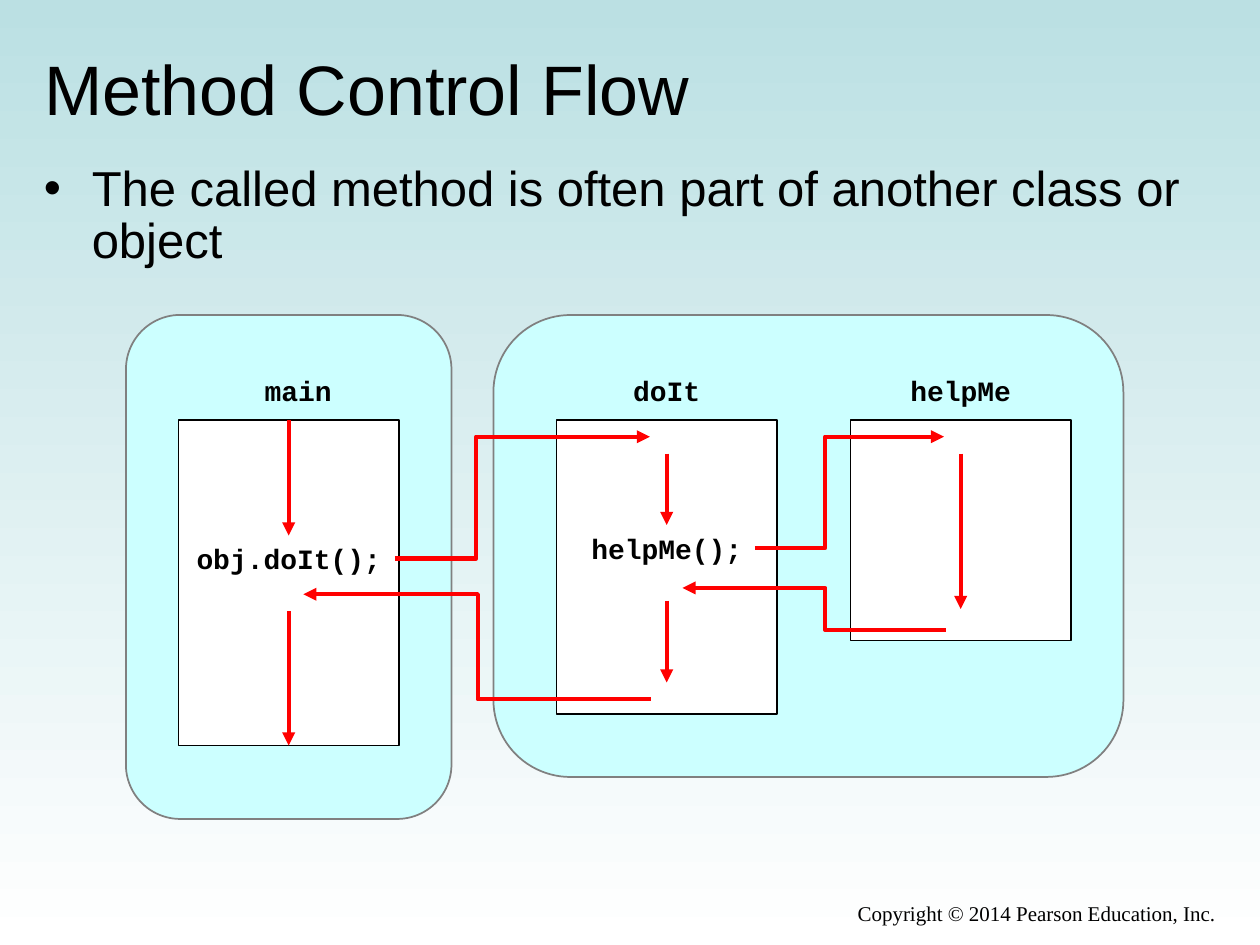
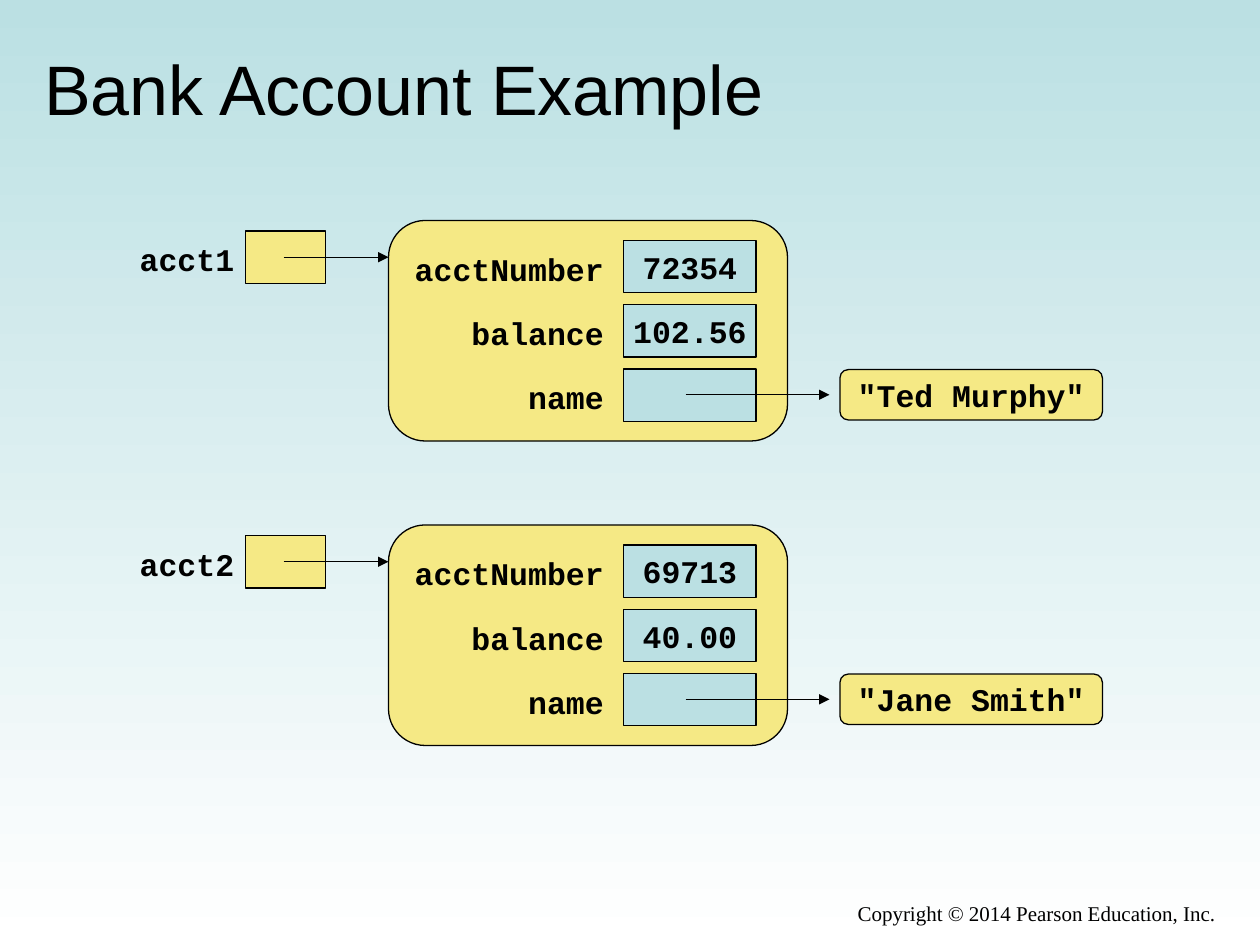
import pptx
import pptx.dml.color
import pptx.enum.shapes
import pptx.enum.text
import pptx.oxml.ns
import pptx.util
from lxml import etree

SHAPE = pptx.enum.shapes.MSO_SHAPE
CONNECTOR = pptx.enum.shapes.MSO_CONNECTOR
ALIGN = pptx.enum.text.PP_ALIGN
ANCHOR = pptx.enum.text.MSO_ANCHOR
qn = pptx.oxml.ns.qn

COLUMNS, ROWS = 120, 90  # twelve grid cells to the inch
BLACK, WHITE, RED, GREY = "000000", "FFFFFF", "FF0000", "808080"
SKY, CYAN, YELLOW = "BBE0E3", "CCFFFF", "F5E985"
SANS, SERIF, MONO = "Arial", "Times New Roman", "Courier New"
COPYRIGHT = "Copyright © 2014 Pearson Education, Inc."


def cells(*counts):
    return [pptx.util.Inches(count / 12) for count in counts]


def rgb(hex_color):
    return pptx.dml.color.RGBColor.from_string(hex_color)


def style_font(para, name, size, bold=False):
    para.font.name = name
    para.font.size = pptx.util.Pt(size)
    para.font.bold = bold
    para.font.color.rgb = rgb(BLACK)


def write(box, text, size, align, name=MONO, bold=True):
    """Put one paragraph in the box, vertically centred, with no side insets."""
    frame = box.text_frame
    frame.word_wrap = True
    frame.vertical_anchor = ANCHOR.MIDDLE
    frame.margin_left = frame.margin_right = 0
    para = frame.paragraphs[0]
    para.text = text
    para.alignment = align
    style_font(para, name, size, bold)


def add_label(page, text, area, size, align, **font):
    write(page.shapes.add_textbox(*cells(*area)), text, size, align, **font)


def add_box(page, kind, area, fill, line=BLACK, weight=1.0, text=""):
    box = page.shapes.add_shape(kind, *cells(*area))
    box.shadow.inherit = False
    box.fill.solid()
    box.fill.fore_color.rgb = rgb(fill)
    box.line.color.rgb = rgb(line)
    box.line.width = pptx.util.Pt(weight)
    if text:
        write(box, text, 18, ALIGN.CENTER)
    return box


def add_arrow(page, start, end, color=RED, weight=2.5, bend=None):
    """Draw an arrow; with a bend column it turns twice there."""
    kind = CONNECTOR.STRAIGHT if bend is None else CONNECTOR.ELBOW
    arrow = page.shapes.add_connector(kind, *cells(*start, *end))
    arrow.line.color.rgb = rgb(color)
    arrow.line.width = pptx.util.Pt(weight)
    properties = arrow.element.spPr
    etree.SubElement(properties.find(qn("a:ln")), qn("a:tailEnd"), type="triangle")
    etree.SubElement(properties, qn("a:effectLst"))
    if bend is not None:
        share = (bend - start[0]) / (end[0] - start[0])
        geometry = properties.find(qn("a:prstGeom"))
        guides = geometry.find(qn("a:avLst"))
        if guides is None:
            guides = etree.SubElement(geometry, qn("a:avLst"))
        etree.SubElement(guides, qn("a:gd"), name="adj1", fmla=f"val {round(share * 100000)}")
    return arrow


def add_bullet(page, text, area):
    box = page.shapes.add_textbox(*cells(*area))
    box.text_frame.word_wrap = True
    para = box.text_frame.paragraphs[0]
    para.text = text
    para.line_spacing = 0.9
    indent = pptx.util.Inches(0.38)
    properties = para._p.get_or_add_pPr()
    properties.set("marL", str(indent))
    properties.set("indent", str(-indent))
    etree.SubElement(properties, qn("a:buFont"), typeface=SANS)
    etree.SubElement(properties, qn("a:buChar"), char="•")
    style_font(para, SANS, 28)


def set_background(deck):
    fill = deck.slide_master.background.fill
    fill.gradient()
    fill.gradient_angle = 270
    for stop, color, position in zip(fill.gradient_stops, (SKY, WHITE), (0, 1)):
        stop.color.rgb = rgb(color)
        stop.position = position


def add_page(deck, heading):
    page = deck.slides.add_slide(deck.slide_layouts[5])
    title = page.shapes.title
    title.left, title.top, title.width, title.height = cells(3, 3.6, 114, 9.4)
    title.text_frame.auto_size = pptx.enum.text.MSO_AUTO_SIZE.NONE
    write(title, heading, 40, ALIGN.LEFT, name=SANS, bold=False)
    title.text_frame.margin_left = pptx.util.Inches(0.1)
    add_label(page, COPYRIGHT, (44, 85, 71.8, 4), 12, ALIGN.RIGHT, name=SERIF, bold=False)
    return page


def add_class(page, area):
    add_box(page, SHAPE.FLOWCHART_ALTERNATE_PROCESS, area, CYAN, GREY)


def add_method(page, name, left, height, name_shift=0.0):
    width, top = 21, 40
    add_label(page, name, (left + name_shift, top - 5, width, 4.4), 16, ALIGN.CENTER)
    return add_box(page, SHAPE.RECTANGLE, (left, top, width, height), WHITE)


def build_control_flow(deck):
    page = add_page(deck, "Method Control Flow")
    add_bullet(page, "The called method is often part of another class or object", (3, 15, 112, 12))
    add_class(page, (47, 30, 60, 44))
    add_class(page, (12, 30, 31, 48))
    main_method = add_method(page, "main", 17, 31, 0.9)
    add_method(page, "doIt", 53, 28)
    add_method(page, "helpMe", 81, 21)
    add_label(page, "obj.doIt();", (17, 51, 21, 4.4), 16, ALIGN.CENTER)
    add_label(page, "helpMe();", (53, 50, 21, 4.4), 16, ALIGN.CENTER)

    main_x, do_it_x, help_me_x = 27.5, 63.5, 91.5
    add_arrow(page, (main_x, 40), (main_x, 51)).begin_connect(main_method, 0)
    add_arrow(page, (main_x, 58.2), (main_x, 71)).end_connect(main_method, 2)
    for column, top, bottom in ((do_it_x, 43.2, 50), (do_it_x, 57.2, 65), (help_me_x, 43.2, 58)):
        add_arrow(page, (column, top), (column, bottom))

    calls_and_returns = (
        ((37.6, 53.2), (61.9, 41.6), 45.35),
        ((62, 66.6), (28.9, 56.6), 45.5),
        ((71.9, 52.2), (89.9, 41.6), 78.6),
        ((90.1, 60), (65, 56), 78.6),
    )
    for start, end, bend in calls_and_returns:
        add_arrow(page, start, end, bend=bend)


def add_account(page, top, variable, number, balance, owner):
    """Draw a variable, the account it refers to and the owner's name string."""
    thin = 0.75
    add_label(page, variable, (10, top + 1.2, 12.3, 5), 18, ALIGN.RIGHT)
    add_box(page, SHAPE.RECTANGLE, (23.4, top + 1, 7.6, 5), YELLOW, weight=thin)
    add_box(page, SHAPE.ROUNDED_RECTANGLE, (37, top, 38, 21), YELLOW, weight=thin)
    fields = (("acctNumber", number), ("balance", balance), ("name", ""))
    for index, (field, value) in enumerate(fields):
        row = top + 1.9 + 6.12 * index
        add_label(page, field, (38, row + 0.2, 19.5, 5), 18, ALIGN.RIGHT)
        add_box(page, SHAPE.RECTANGLE, (59.4, row, 12.6, 5), SKY, weight=thin, text=value)
    add_box(page, SHAPE.ROUNDED_RECTANGLE, (80, top + 14.2, 25, 4.8), YELLOW,
            weight=thin, text=f'"{owner}"')
    for first, last, row in ((27, 37, top + 3.5), (65.3, 79, top + 16.6)):
        add_arrow(page, (first, row), (last, row), BLACK, thin)


def build_bank_accounts(deck):
    page = add_page(deck, "Bank Account Example")
    add_account(page, 21, "acct1", "72354", "102.56", "Ted Murphy")
    add_account(page, 50, "acct2", "69713", "40.00", "Jane Smith")


def main():
    deck = pptx.Presentation()
    deck.slide_width, deck.slide_height = cells(COLUMNS, ROWS)
    set_background(deck)
    build_control_flow(deck)
    build_bank_accounts(deck)
    deck.save("out.pptx")


if __name__ == "__main__":
    main()
